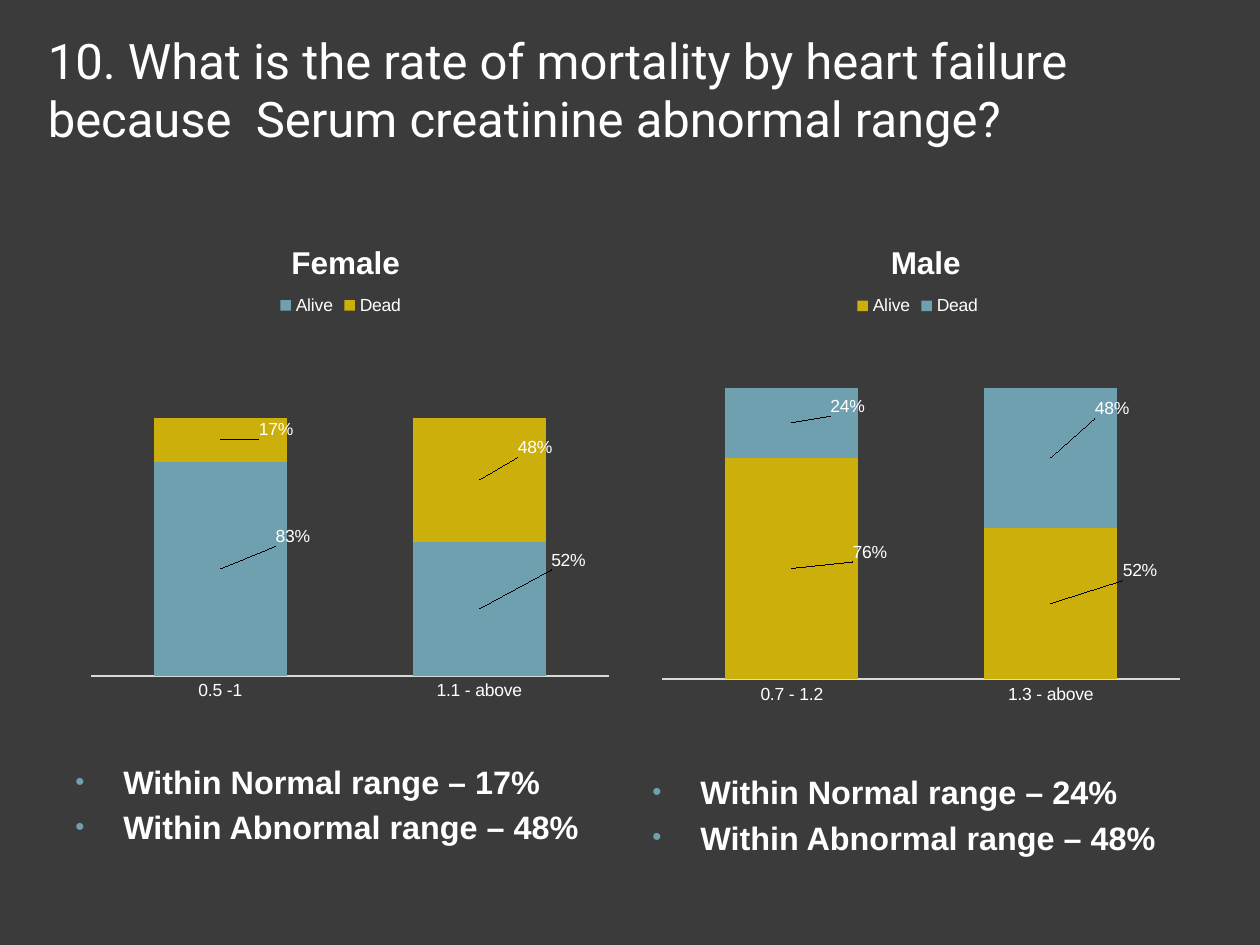
from dataclasses import dataclass

from lxml import etree
from pptx import Presentation
from pptx.chart.data import CategoryChartData
from pptx.dml.color import RGBColor
from pptx.enum import chart as ch, text
from pptx.oxml.ns import qn
from pptx.util import Inches, Pt


@dataclass(frozen=True)
class Theme:
    background = RGBColor.from_string("3B3B3B")
    white = RGBColor.from_string("FFFFFF")
    axis = RGBColor.from_string("D9D9D9")
    blue = RGBColor.from_string("6EA0B0")
    gold = RGBColor.from_string("CCAF0A")
    heading_font = "Roboto"
    body_font = "Arial"
    heading_size = Pt(28)
    bullet_size = Pt(18.5)
    title_size = Pt(18)
    label_size = Pt(10)


theme = Theme()


def style(font, size, name=theme.body_font, bold=False):
    font.size, font.name, font.bold = size, name, bold
    font.color.rgb = theme.white


def make_layout(x, y, w=None, h=None, edge=True):
    """Return a manual chart layout, in fractions of the chart's size."""
    layout = etree.Element(qn("c:layout"))
    manual = etree.SubElement(layout, qn("c:manualLayout"))
    values = [("x", x), ("y", y)]
    if w:
        etree.SubElement(manual, qn("c:layoutTarget"), val="inner")
        values += [("w", w), ("h", h)]
    if edge:
        for mode in ("xMode", "yMode"):
            etree.SubElement(manual, qn("c:" + mode), val="edge")
    for tag, value in values:
        etree.SubElement(manual, qn("c:" + tag), val=str(value))
    return layout


# Series: name, values, colour, label offsets from the middle of each bar
panels = [
    dict(title="Female", left=0.5, height=4.31, text_top=6,
         categories=["0.5 -1", "1.1 - above"],
         plot=(0.05, 0.29, 0.93, 0.57), title_at=(0.4, 0.05), legend_at=(0.38, 0.15),
         series=[("Alive", (0.83, 0.52), theme.blue, [(0.13, -0.06), (0.16, -0.09)]),
                 ("Dead", (0.17, 0.48), theme.gold, [(0.1, -0.02), (0.1, -0.06)])]),
    dict(title="Male", left=5.08, height=4.34, text_top=6.08,
         categories=["0.7 - 1.2", "1.3 - above"],
         plot=(0.04, 0.22, 0.93, 0.64), title_at=(0.44, 0.05), legend_at=(0.38, 0.15),
         series=[("Alive", (0.76, 0.52), theme.gold, [(0.14, -0.03), (0.16, -0.06)]),
                 ("Dead", (0.24, 0.48), theme.blue, [(0.1, -0.03), (0.11, -0.09)])]),
]
panel_width = Inches(4.42)

prs = Presentation()
prs.slide_width, prs.slide_height = Inches(10), Inches(7.5)
s = prs.slides.add_slide(prs.slide_layouts[6])
s.background.fill.solid()
s.background.fill.fore_color.rgb = theme.background

# Heading
tf = s.shapes.add_textbox(Inches(0.33), Inches(0.08), Inches(9.42), Inches(1.25)).text_frame
tf.word_wrap = True
tf.vertical_anchor = text.MSO_ANCHOR.MIDDLE
tf.margin_left = tf.margin_right = tf.margin_top = tf.margin_bottom = Inches(0.05)
p = tf.paragraphs[0]
p.text = ("10. What is the rate of mortality by heart failure "
          "because  Serum creatinine abnormal range?")
style(p.font, theme.heading_size, theme.heading_font)

for panel in panels:
    # Stacked chart
    data = CategoryChartData(number_format="0%")
    data.categories = panel["categories"]
    for name, values, _, _ in panel["series"]:
        data.add_series(name, values)
    chart = s.shapes.add_chart(
        ch.XL_CHART_TYPE.COLUMN_STACKED, Inches(panel["left"]), Inches(1.66),
        panel_width, Inches(panel["height"]), data).chart
    style(chart.font, theme.label_size)

    chart.has_title = True
    title = chart.chart_title
    p = title.text_frame.paragraphs[0]
    p.text = panel["title"]
    style(p.font, theme.title_size, bold=True)
    title.include_in_layout = False
    title_xml = chart._chartSpace.chart.find(qn("c:title"))
    for old in title_xml.findall(qn("c:layout")):
        title_xml.remove(old)
    title_xml.find(qn("c:tx")).addnext(make_layout(*panel["title_at"]))

    chart.has_legend = True
    legend = chart.legend
    legend.position = ch.XL_LEGEND_POSITION.TOP
    legend.include_in_layout = False
    style(legend.font, theme.label_size)
    legend_xml = legend._element
    for old in legend_xml.findall(qn("c:layout")):
        legend_xml.remove(old)
    legend_xml.find(qn("c:legendPos")).addnext(make_layout(*panel["legend_at"]))

    plot_area = chart._chartSpace.chart.plotArea
    for old in plot_area.findall(qn("c:layout")):
        plot_area.remove(old)
    plot_area.insert(0, make_layout(*panel["plot"]))

    axis = chart.value_axis
    axis.minimum_scale, axis.maximum_scale = 0, 1.2
    axis.has_major_gridlines = False
    axis.tick_labels.number_format = "0%"
    axis.tick_labels.number_format_is_linked = False
    axis.visible = False
    axis = chart.category_axis
    axis.major_tick_mark = ch.XL_TICK_MARK.NONE
    axis.format.line.color.rgb = theme.axis
    axis.format.line.width = Pt(1)
    style(axis.tick_labels.font, theme.label_size)

    plot = chart.plots[0]
    plot.gap_width, plot.overlap, plot.vary_by_categories = 95, 100, False
    for series, (_, _, colour, offsets) in zip(plot.series, panel["series"]):
        series.format.fill.solid()
        series.format.fill.fore_color.rgb = colour
        labels = series.data_labels
        labels.show_value = True
        labels.number_format = "0%"
        labels.number_format_is_linked = False
        style(labels.font, theme.label_size)
        for i, offset in enumerate(offsets):
            label = series.points[i].data_label
            label.position = ch.XL_LABEL_POSITION.CENTER
            style(label.font, theme.label_size)
            label_xml = labels._element.findall(qn("c:dLbl"))[i]
            label_xml.insert(1, make_layout(*offset, edge=False))

    # Bulleted findings: the share of deaths in each range
    tf = s.shapes.add_textbox(Inches(panel["left"]), Inches(panel["text_top"]),
                              panel_width, Inches(0.92)).text_frame
    tf.word_wrap = True
    deaths = panel["series"][1][1]
    for i, (span, share) in enumerate(zip(("Normal", "Abnormal"), deaths)):
        p = tf.add_paragraph() if i else tf.paragraphs[0]
        p.text = f"Within {span} range – {share:.0%}"
        style(p.font, theme.bullet_size, bold=True)
        pPr = p._p.get_or_add_pPr()
        pPr.set("marL", str(Inches(0.38)))
        pPr.set("indent", str(-Inches(0.38)))
        before = etree.Element(qn("a:spcBef"))
        etree.SubElement(before, qn("a:spcPct"), val="20000")
        bullet_colour = etree.Element(qn("a:buClr"))
        etree.SubElement(bullet_colour, qn("a:srgbClr"), val=str(theme.blue))
        bullet = [before, bullet_colour,
                  etree.Element(qn("a:buSzPct"), val="80000"),
                  etree.Element(qn("a:buFont"), typeface=theme.body_font),
                  etree.Element(qn("a:buChar"), char="•")]
        for position, element in enumerate(bullet):
            pPr.insert(position, element)

prs.save("out.pptx")
